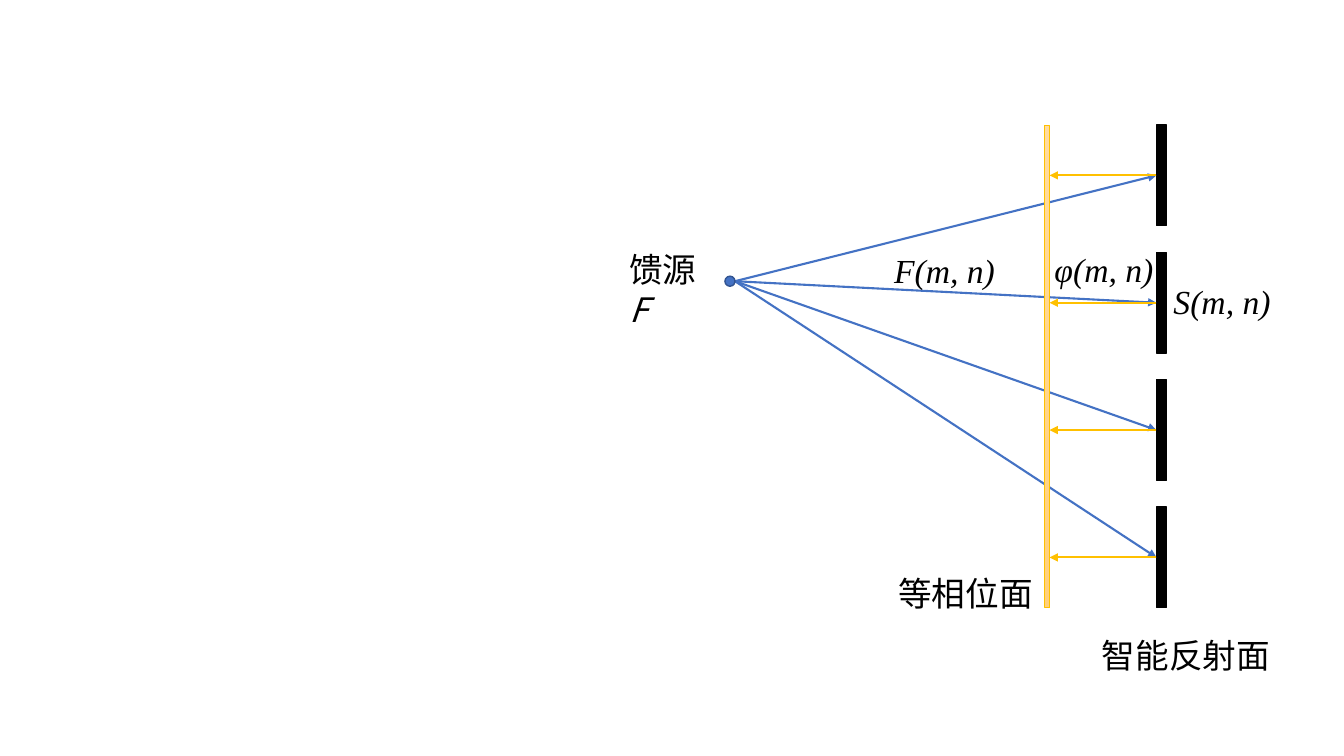
from pptx import Presentation, util as u
from pptx.dml import color as c
from pptx.enum import shapes, text
from pptx.oxml import ns
from lxml import etree

BLUE, GOLD, BLACK = "4472C4", "FFC000", "000000"
SANS, SERIF = "Noto Sans CJK SC", "Times New Roman"
RECT, OVAL = shapes.MSO_SHAPE.RECTANGLE, shapes.MSO_SHAPE.OVAL


def tint(hue):
    """Turn a hex string into a colour."""
    return c.RGBColor.from_string(hue)


def add_part(slide, kind, box, fill, edge, width=1):
    """Add a filled and outlined shape."""
    part = slide.shapes.add_shape(kind, *map(u.Inches, box))
    part.shadow.inherit = False
    part.fill.solid()
    part.fill.fore_color.rgb = tint(fill)
    part.line.color.rgb = tint(edge)
    part.line.width = u.Pt(width)
    return part


def add_ray(slide, start, end, hue):
    """Add an arrow from start to end."""
    ray = slide.shapes.add_connector(
        shapes.MSO_CONNECTOR.STRAIGHT, *map(u.Inches, start + end))
    ray.line.color.rgb = tint(hue)
    ray.line.width = u.Pt(1.5)
    props = ray.element.spPr
    etree.SubElement(props.get_or_add_ln(), ns.qn("a:tailEnd"), type="triangle")
    etree.SubElement(props, ns.qn("a:effectLst"))


def add_label(slide, words, left, top, width, font=SANS, wrap=False):
    """Add a label, in italics where the font is serif."""
    label = slide.shapes.add_textbox(*map(u.Inches, (left, top, width, 0.5)))
    frame = label.text_frame
    frame.word_wrap = wrap
    frame.auto_size = text.MSO_AUTO_SIZE.SHAPE_TO_FIT_TEXT
    para = frame.paragraphs[0]
    for word in words:
        run = para.add_run()
        run.text = word
        if font == SANS:
            run.font.italic = word == "F"
            etree.SubElement(run.font._element, ns.qn("a:ea"), typeface=font)
    para.font.name = font
    para.font.size = u.Pt(24)
    para.font.color.rgb = tint(BLACK)
    if font == SERIF:
        para.font.italic = True


def draw_paths(slide, left, top, width, height):
    """Draw the feed, its rays, the phase plane and the reflecting cells."""
    count, cell, dot = 4, 1, 0.1
    step = (height - cell) / (count - 1)
    wall, plane = left + width - dot, left + 3.17
    feed = (left + dot, top + 1.55)
    mids = [top + cell / 2 + i * step for i in range(count)]
    for mid in mids:
        add_part(slide, RECT, (wall, mid - cell / 2, dot, cell), BLACK, BLACK)
        add_ray(slide, feed, (wall, mid), BLUE)
    add_part(slide, OVAL, (left, feed[1] - dot / 2, dot, dot), BLUE, "325491")
    front = add_part(slide, RECT, (plane, top, 0.05, height), GOLD, GOLD, 0.5)
    front.fill.gradient()
    front.fill.gradient_angle = 270
    for stop, hue in zip(front.fill.gradient_stops, ("FFDB9E", "FFD07C")):
        stop.color.rgb = tint(hue)
    for mid in mids:
        add_ray(slide, (wall, mid), (plane + 0.05, mid), GOLD)


def draw_labels(slide, left, top):
    """Name the parts of the diagram, placed from its top left corner."""
    add_label(slide, ["智能反射面"], left + 3.64, top + 5.01, 1.88)
    add_label(slide, ["馈源", "F"], left - 1.05, top + 1.18, 1.02, wrap=True)
    add_label(slide, ["等相位面"], left + 1.62, top + 4.39, 1.55)
    for words, x, y, width in (("F(m, n)", 1.58, 1.19, 1.22),
                               ("S(m, n)", 4.35, 1.5, 1.22),
                               ("φ(m, n)", 3.17, 1.18, 1.19)):
        add_label(slide, [words], left + x, top + y, width, SERIF)


deck = Presentation()
deck.slide_width, deck.slide_height = u.Inches(13.33), u.Inches(7.5)
page = deck.slides.add_slide(deck.slide_layouts[6])
draw_paths(page, 7.19, 1.24, 4.38, 4.79)
draw_labels(page, 7.19, 1.24)
deck.save("out.pptx")
